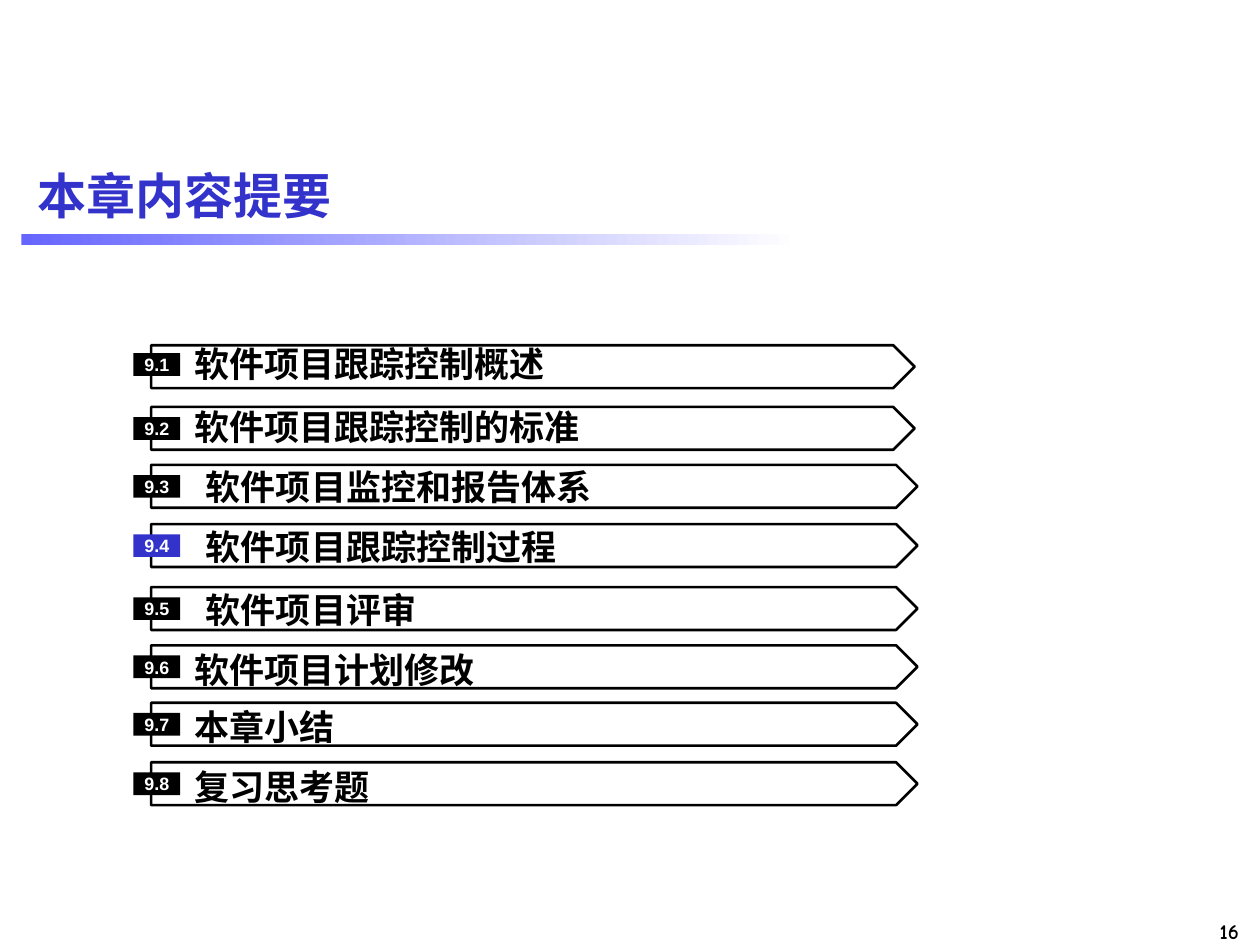
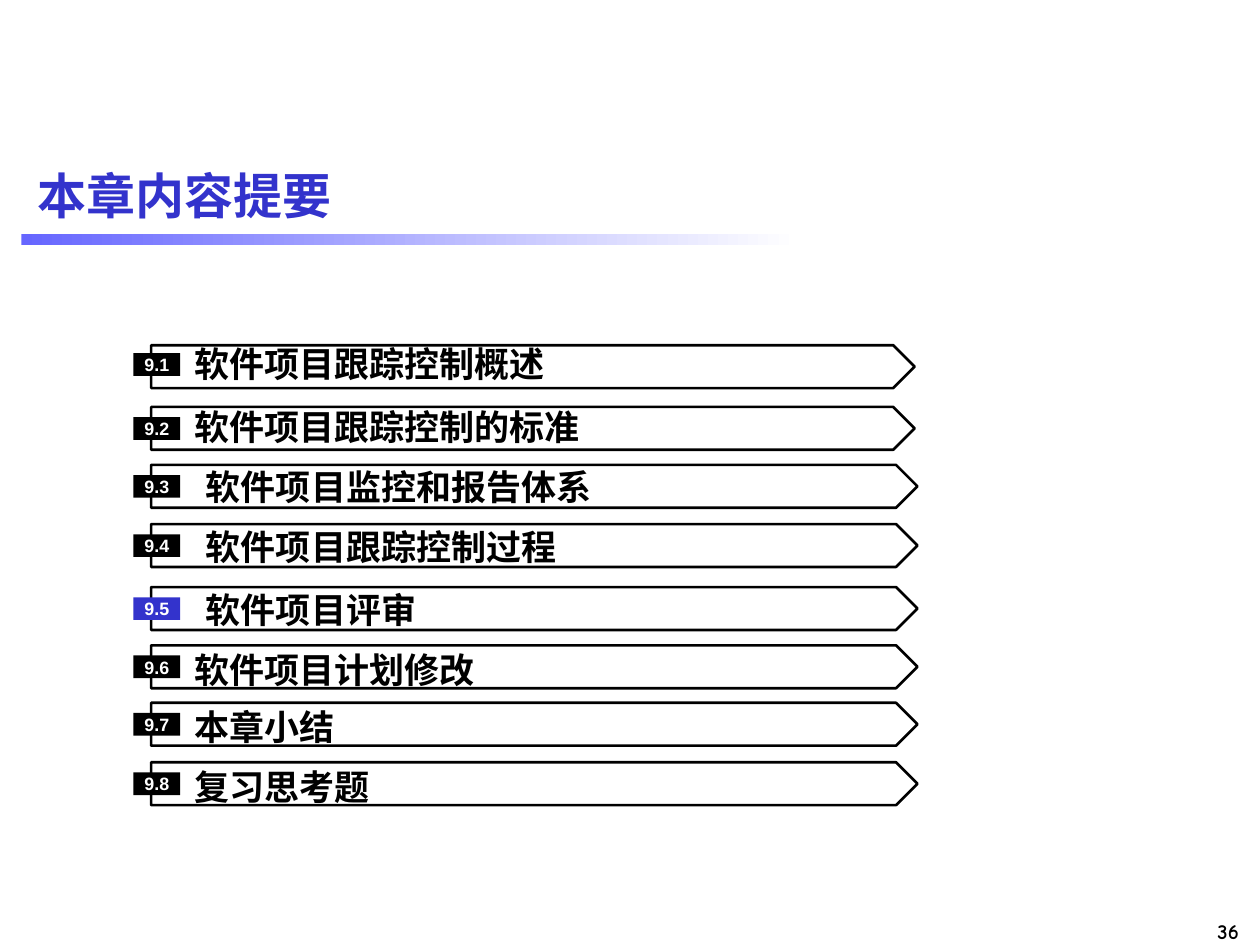
from dataclasses import dataclass

from lxml import etree
from pptx import Presentation
from pptx.dml.color import RGBColor
from pptx.enum import shapes, text
from pptx.oxml import ns
from pptx.util import Pt

BLACK, WHITE, BLUE, LIGHT_BLUE = "000000", "FFFFFF", "3333CC", "6666FF"
CHINESE_FONT = "Noto Sans CJK SC"
ARROW_LEFT, ARROW_HEIGHT, ARROW_POINT = 86.4, 24.48, 12.24
LABEL_LEFT, LABEL_WIDTH = 106.56, 388
BADGE_LEFT, BADGE_WIDTH, BADGE_HEIGHT = 76.32, 26.64, 13
NARROW_INDENT, WIDE_INDENT = 4.5, 11.1


@dataclass(frozen=True)
class Section:
    number: str
    title: str
    top: float
    label_shift: float = 0.72
    label_height: float = 23.76
    indent: float = NARROW_INDENT
    badge_shift: float = 5.76
    tip: float = 524.3


@dataclass(frozen=True)
class Agenda:
    current: str
    page_number: str


SECTIONS = [
    Section("9.1", "软件项目跟踪控制概述", 197.28, label_shift=-1.44, badge_shift=4.5, tip=522.7),
    Section("9.2", "软件项目跟踪控制的标准", 232.56, label_shift=-0.72, tip=522.7),
    Section("9.3", "软件项目监控和报告体系", 265.68, indent=WIDE_INDENT),
    Section("9.4", "软件项目跟踪控制过程", 299.52, indent=WIDE_INDENT),
    Section("9.5", "软件项目评审", 335.52, indent=WIDE_INDENT),
    Section("9.6", "软件项目计划修改", 368.8, label_shift=-0.72, label_height=28.8),
    Section("9.7", "本章小结", 401.6, label_shift=-0.72, label_height=28.8),
    Section("9.8", "复习思考题", 435.6, label_shift=-0.72, label_height=28.8),
]
AGENDAS = [Agenda("9.4", "16"), Agenda("9.5", "36")]


def rgb(value: str) -> RGBColor:
    return RGBColor.from_string(value)


def write(box, words: str, *, size: float, font: str = "Arial", color: str = BLACK,
          align=text.PP_ALIGN.LEFT, anchor=text.MSO_ANCHOR.MIDDLE,
          insets: tuple[float, float] = (0, 0)) -> None:
    frame = box.text_frame
    frame.word_wrap = True
    frame.vertical_anchor = anchor
    frame.margin_left = frame.margin_right = Pt(insets[0])
    frame.margin_top = frame.margin_bottom = Pt(insets[1])
    para = frame.paragraphs[0]
    para.alignment = align
    span = para.add_run()
    span.text = words
    span.font.name = font
    span.font.size = Pt(size)
    span.font.bold = True
    span.font.color.rgb = rgb(color)
    east_asian = etree.SubElement(span.font._element, ns.qn("a:ea"))
    east_asian.set("typeface", CHINESE_FONT)


def add_box(page, left: float, top: float, width: float, height: float):
    return page.shapes.add_textbox(Pt(left), Pt(top), Pt(width), Pt(height))


def add_bar(page, left: float, top: float, width: float, height: float):
    bar = page.shapes.add_shape(shapes.MSO_SHAPE.RECTANGLE,
                                Pt(left), Pt(top), Pt(width), Pt(height))
    bar.shadow.inherit = False
    bar.line.fill.background()
    return bar


def draw_frame(page, page_number: str) -> None:
    number = add_box(page, 648.72, 521.28, 66.24, 21.6)
    write(number, page_number, size=12, font="Comic Neue", align=text.PP_ALIGN.RIGHT,
          anchor=text.MSO_ANCHOR.TOP, insets=(7.2, 3.6))
    rule = add_bar(page, 12.24, 133.7, 444.24, 6.2)
    rule.fill.gradient()
    rule.fill.gradient_angle = 0
    for stop, color in zip(rule.fill.gradient_stops, (LIGHT_BLUE, WHITE)):
        stop.color.rgb = rgb(color)
    title = add_box(page, 14.4, 82.8, 691.92, 56.88)
    write(title, "本章内容提要", size=28, color=BLUE, insets=(7.2, 3.6))


def draw_arrow(page, section: Section) -> None:
    shoulder = section.tip - ARROW_POINT
    middle, bottom = section.top + ARROW_HEIGHT / 2, section.top + ARROW_HEIGHT
    outline = page.shapes.build_freeform(Pt(ARROW_LEFT), Pt(section.top))
    corners = [(shoulder, section.top), (section.tip, middle),
               (shoulder, bottom), (ARROW_LEFT, bottom)]
    outline.add_line_segments([(Pt(x), Pt(y)) for x, y in corners], close=True)
    arrow = outline.convert_to_shape()
    arrow.shadow.inherit = False
    arrow.fill.background()
    arrow.line.color.rgb = rgb(BLACK)
    arrow.line.width = Pt(1.5)


def draw_section(page, section: Section, is_current: bool) -> None:
    draw_arrow(page, section)
    label = add_box(page, LABEL_LEFT + section.indent, section.top + section.label_shift,
                    LABEL_WIDTH - section.indent, section.label_height)
    write(label, section.title, size=20)
    badge = add_bar(page, BADGE_LEFT, section.top + section.badge_shift,
                    BADGE_WIDTH, BADGE_HEIGHT)
    badge.fill.solid()
    badge.fill.fore_color.rgb = rgb(BLUE if is_current else BLACK)
    write(badge, section.number, size=10.2, color=WHITE, align=text.PP_ALIGN.CENTER)


def main() -> None:
    deck = Presentation()
    deck.slide_width, deck.slide_height = Pt(720), Pt(540)
    for agenda in AGENDAS:
        page = deck.slides.add_slide(deck.slide_layouts[6])
        draw_frame(page, agenda.page_number)
        for section in SECTIONS:
            draw_section(page, section, section.number == agenda.current)
    deck.save("out.pptx")


if __name__ == "__main__":
    main()
